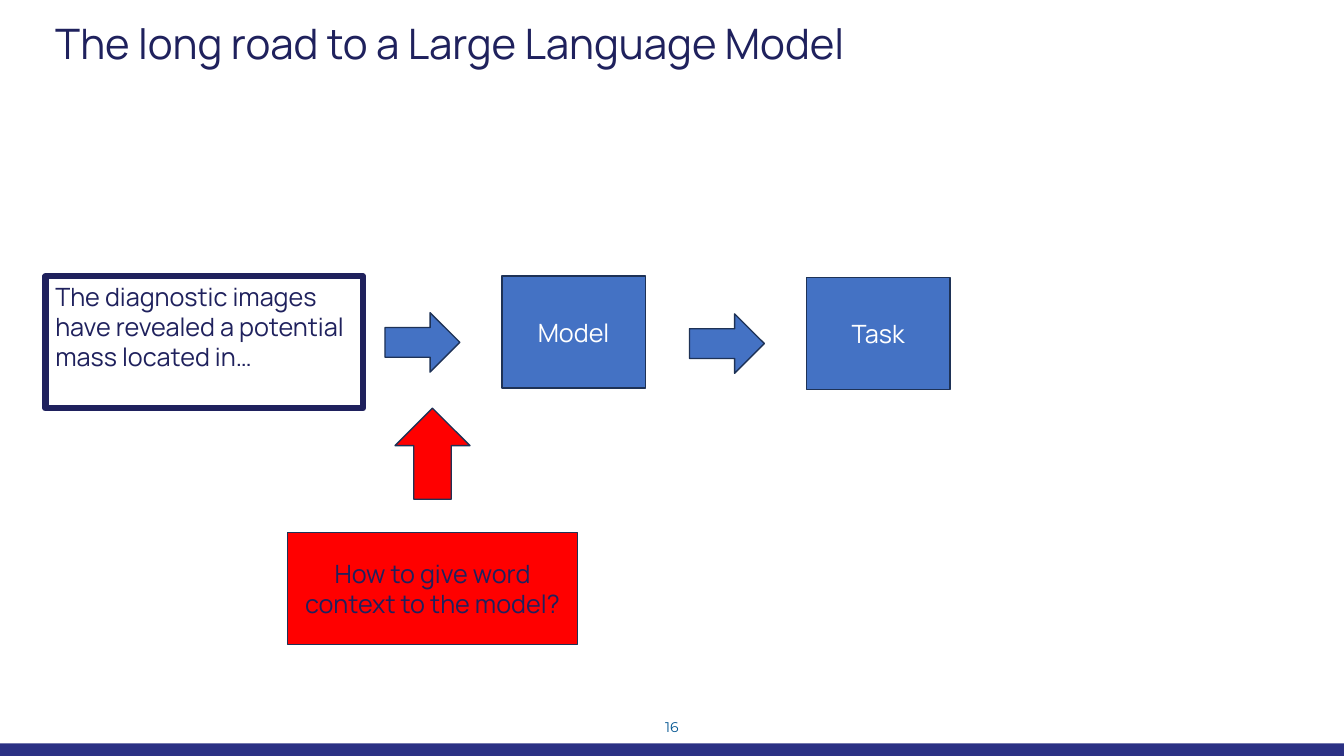
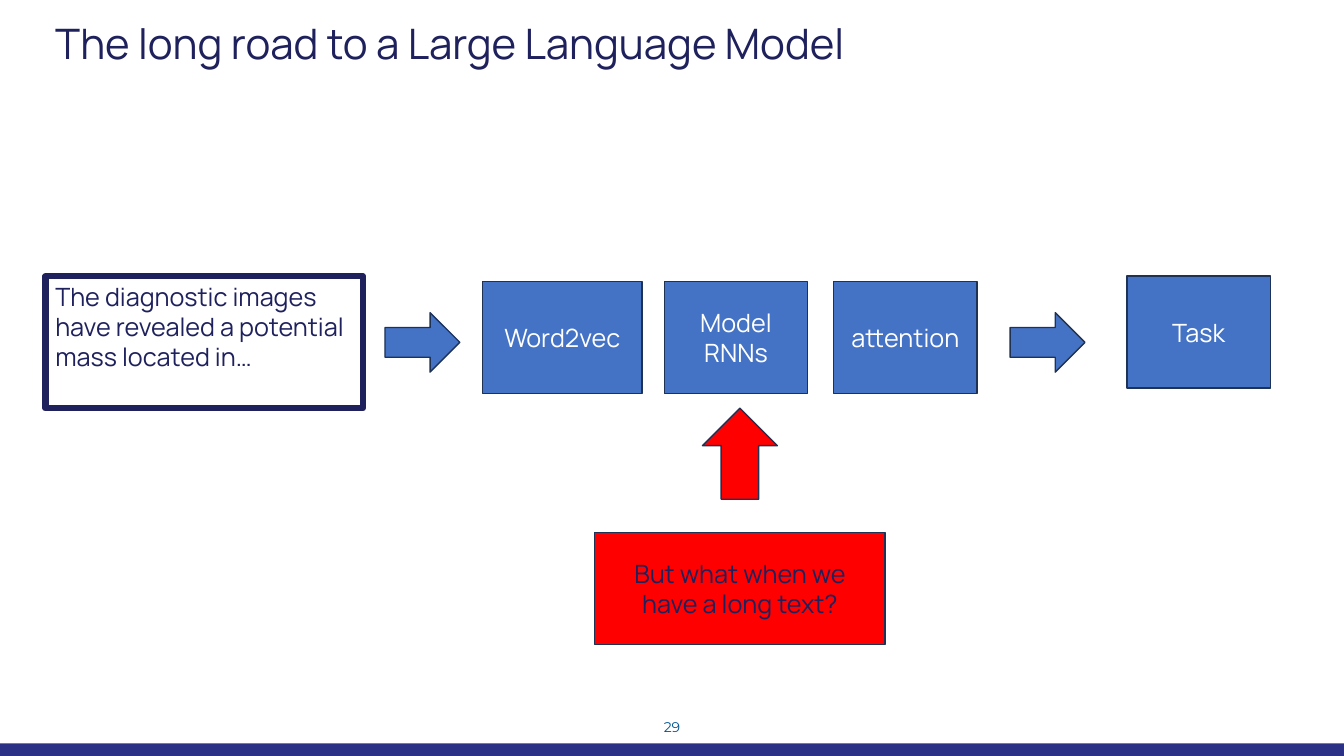
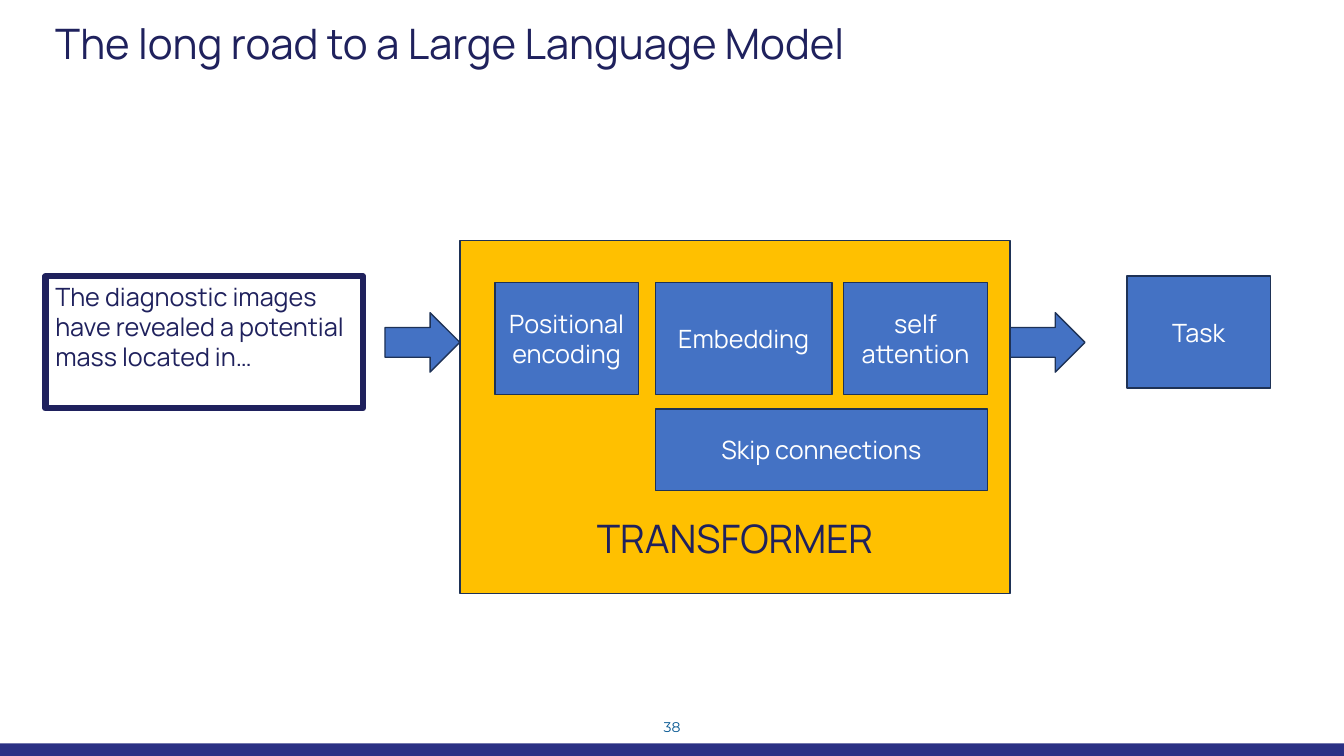
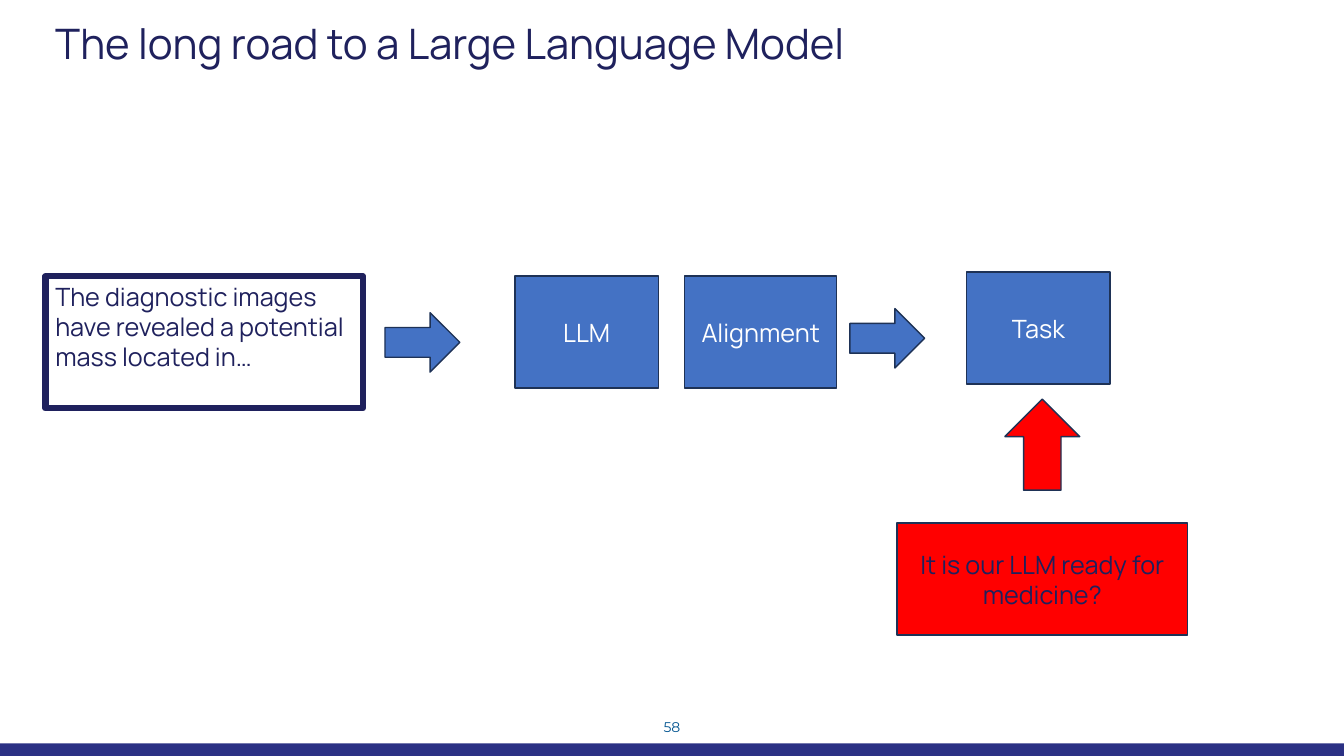
"""Build four slides on the road to a large language model."""
from pptx import Presentation
from pptx.dml.color import RGBColor
from pptx.enum import shapes, text
from pptx.util import Pt

COLOURS = {
    "navy": "1F215D", "band": "2B3184", "number": "005490", "blue": "4472C4",
    "outline": "1E3256", "red": "FF0000", "amber": "FFC000", "white": "FFFFFF",
}
KINDS = shapes.MSO_SHAPE
ANCHORS = text.MSO_ANCHOR
ALIGNS = text.PP_ALIGN
BODY_FONT = "Manrope"
SLIDE_WIDTH, SLIDE_HEIGHT = 960, 540
BAND_HEIGHT = 9
BOX_WIDTH, BOX_HEIGHT = 102.5, 80
ARROW_WIDTH, ARROW_HEIGHT = 53.5, 42.5
ARROW_TO_BOX, ARROW_DROP = 83.5, 26
ROW_TOP = 197.3
INNER_TOP = 201.8
TITLE = "The long road to a Large Language Model"
SENTENCE = "The diagnostic images have revealed a potential mass located in…"


def colour(name):
    """Return the named colour."""
    return RGBColor.from_string(COLOURS[name])


def write(shape, content, ink, size=18, font=BODY_FONT, align=ALIGNS.CENTER,
          anchor=ANCHORS.MIDDLE):
    """Write each line of the content as one paragraph and return the frame."""
    frame = shape.text_frame
    frame.word_wrap = True
    frame.vertical_anchor = anchor
    for index, line in enumerate(content.split("\n")):
        paragraph = frame.add_paragraph() if index else frame.paragraphs[0]
        paragraph.alignment = align
        run = paragraph.add_run()
        run.text = line
        run.font.name = font
        run.font.size = Pt(size)
        run.font.color.rgb = colour(ink)
    return frame


def add_figure(slide, kind, box, fill=None, line="outline", weight=1):
    """Add a flat preset shape at box, given as left, top, width, height."""
    shape = slide.shapes.add_shape(kind, *map(Pt, box))
    shape.shadow.inherit = False
    if fill:
        shape.fill.solid()
        shape.fill.fore_color.rgb = colour(fill)
    else:
        shape.fill.background()
    if line:
        shape.line.color.rgb = colour(line)
        shape.line.width = Pt(weight)
    else:
        shape.line.fill.background()
    return shape


def add_block(slide, label, left, top, width=BOX_WIDTH, height=BOX_HEIGHT):
    """Add a blue box with a white label."""
    shape = add_figure(slide, KINDS.RECTANGLE, (left, top, width, height), "blue")
    write(shape, label, "white")


def add_arrow(slide, left, top):
    """Add a blue arrow pointing right."""
    add_figure(slide, KINDS.RIGHT_ARROW, (left, top, ARROW_WIDTH, ARROW_HEIGHT), "blue")


def add_task(slide, left, top=ROW_TOP):
    """Add the task box with the arrow that leads to it."""
    add_arrow(slide, left - ARROW_TO_BOX, top + ARROW_DROP)
    add_block(slide, "Task", left, top)


def add_callout(slide, question, left, top=380.2):
    """Add a red question box with an arrow centred above it."""
    width, arrow_height, rise = 207.5, 65, 88.6
    arrow_left = left + (width - ARROW_WIDTH) / 2
    add_figure(slide, KINDS.UP_ARROW,
               (arrow_left, top - rise, ARROW_WIDTH, arrow_height), "red")
    box = add_figure(slide, KINDS.RECTANGLE, (left, top, width, BOX_HEIGHT), "red")
    write(box, question, "navy")


def add_transformer(slide, left, top):
    """Add the transformer panel with its four parts."""
    panel = add_figure(slide, KINDS.RECTANGLE, (left, top, 393, 252), "amber")
    frame = write(panel, "TRANSFORMER", "navy", 28, anchor=ANCHORS.BOTTOM)
    frame.margin_bottom = Pt(23)
    row, middle, last = top + 29.7, left + 139.7, left + 274.2
    add_block(slide, "Positional\nencoding", left + 25, row)
    add_block(slide, "Embedding", middle, row, 126)
    add_block(slide, "self\nattention", last, row)
    add_block(slide, "Skip connections", middle, row + 90.4,
              last + BOX_WIDTH - middle, 58.5)


def add_frame(presentation, number):
    """Add a slide with its band, page number, title and input sentence."""
    slide = presentation.slides.add_slide(presentation.slide_layouts[6])
    add_figure(slide, KINDS.RECTANGLE,
               (0, SLIDE_HEIGHT - BAND_HEIGHT, SLIDE_WIDTH, BAND_HEIGHT), "band", None)
    page = slide.shapes.add_textbox(Pt(461.5), Pt(509.8), Pt(37), Pt(14.4))
    write(page, str(number), "number", 10, "Montserrat", anchor=ANCHORS.TOP)
    title = slide.shapes.add_textbox(Pt(32.4), Pt(13), Pt(875.5), Pt(42.5))
    frame = write(title, TITLE, "navy", 30, align=ALIGNS.LEFT, anchor=ANCHORS.TOP)
    frame.paragraphs[0].line_spacing = 0.9
    sentence = add_figure(slide, KINDS.RECTANGLE, (32.4, ROW_TOP, 226.8, 94.3),
                          line="navy", weight=4.5)
    write(sentence, SENTENCE, "navy", align=ALIGNS.LEFT, anchor=ANCHORS.TOP)
    add_arrow(slide, 275, ROW_TOP + ARROW_DROP)
    return slide


def build_context(presentation):
    """Build the slide that asks for word context."""
    slide = add_frame(presentation, 16)
    add_block(slide, "Model", 358.5, ROW_TOP)
    add_task(slide, 576, 198.2)
    add_callout(slide, "How to give word context to the model?", 205.2)


def build_long_text(presentation):
    """Build the slide that asks about long texts."""
    slide = add_frame(presentation, 29)
    add_block(slide, "Word2vec", 344.7, INNER_TOP - 0.5, 114)
    add_block(slide, "Model\nRNNs", 474.5, INNER_TOP - 0.5)
    add_block(slide, "attention", 595.5, INNER_TOP - 0.5)
    add_task(slide, 805)
    add_callout(slide, "But what when we have a long text?", 424.8)


def build_transformer(presentation):
    """Build the slide that shows the transformer."""
    slide = add_frame(presentation, 38)
    add_transformer(slide, 328.5, 172)
    add_task(slide, 805)


def build_medicine(presentation):
    """Build the slide that asks about medicine."""
    slide = add_frame(presentation, 58)
    add_block(slide, "LLM", 367.8, ROW_TOP)
    add_block(slide, "Alignment", 489, ROW_TOP, 108.7)
    add_task(slide, 690.5, 194.4)
    add_callout(slide, "It is our LLM ready for medicine?", 640.8, 373.7)


def main():
    """Build and save the presentation."""
    presentation = Presentation()
    presentation.slide_width = Pt(SLIDE_WIDTH)
    presentation.slide_height = Pt(SLIDE_HEIGHT)
    for build in (build_context, build_long_text, build_transformer, build_medicine):
        build(presentation)
    presentation.save("out.pptx")


if __name__ == "__main__":
    main()
